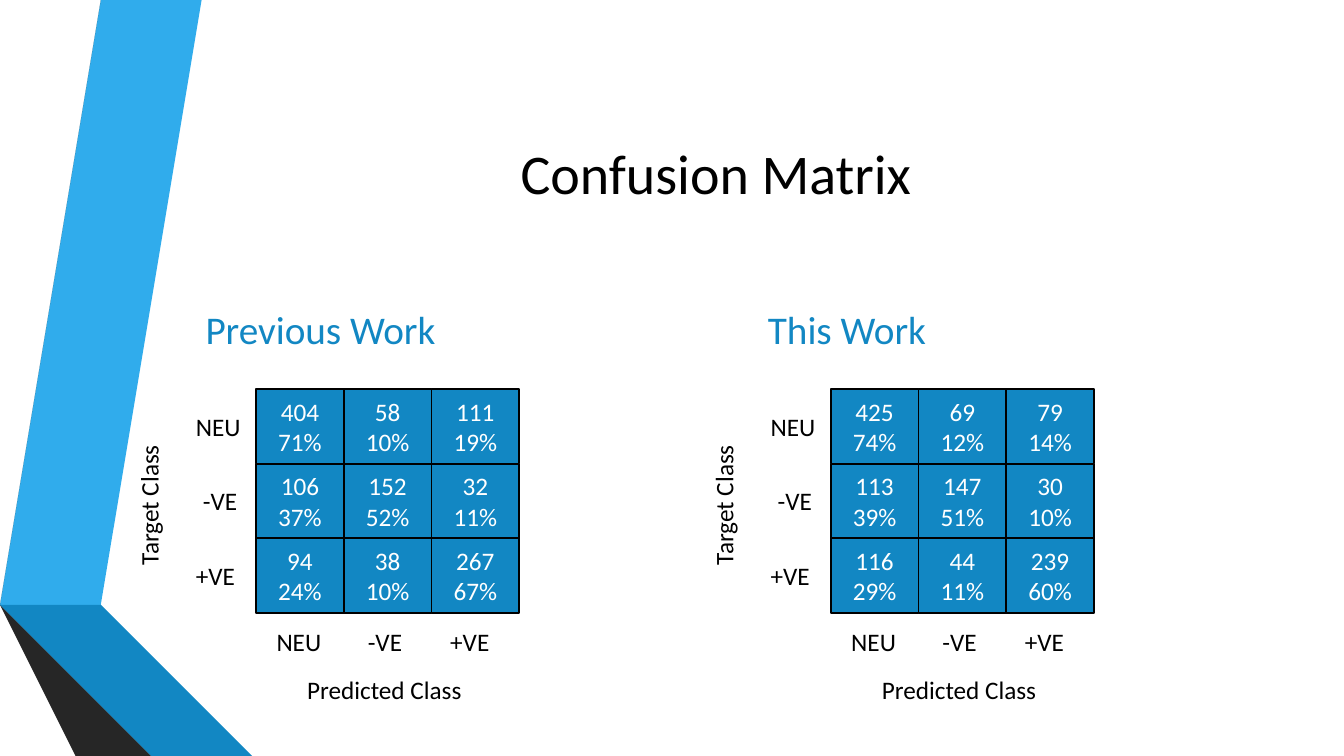
from collections import namedtuple

from pptx import Presentation, util as u
from pptx.dml.color import RGBColor
from pptx.enum import shapes, text

BLUE, BLACK, WHITE = "1287C3", "000000", "FFFFFF"
CLASSES = ("NEU", "-VE", "+VE")
LABEL_WIDTHS = (0.78, 0.7, 0.82)  # in columns
LABEL_HEIGHT = 0.54  # in rows
Box = namedtuple("Box", "left top width height")

# Ribbon outlines in inches on the slide, from back to front
RIBBONS = [
    ("30ACEC", [(0.5, 5.78), (0.77, 5.83), (1.73, 0), (1.45, 0)]),
    ("595959", [(1.39, 0), (1.11, 0), (0.16, 5.73), (0.44, 5.77)]),
    ("262626", [(0.16, 5.73), (1.45, 7.5), (1.51, 7.5)]),
    ("0C5A82", [(0.5, 5.79), (2.08, 7.5), (2.14, 7.5)]),
    (BLUE, [(0.5, 5.79), (2.14, 7.5), (2.83, 7.5), (0.77, 5.83), (0.5, 5.78)]),
    ("404040", [(2.02, 7.5), (0.48, 5.83), (0.43, 5.78), (0.44, 5.77),
                (0.16, 5.73), (1.51, 7.5)]),
]

PREVIOUS = [[("404", "71%"), ("58", "10%"), ("111", "19%")],
            [("106", "37%"), ("152", "52%"), ("32", "11%")],
            [("94", "24%"), ("38", "10%"), ("267", "67%")]]
CURRENT = [[("425", "74%"), ("69", "12%"), ("79", "14%")],
           [("113", "39%"), ("147", "51%"), ("30", "10%")],
           [("116", "29%"), ("44", "11%"), ("239", "60%")]]


def color(value):
    return RGBColor.from_string(value)


def inches(box):
    return [u.Inches(length) for length in box]


def write(shape, *lines, size=18, ink=BLACK, align=text.PP_ALIGN.LEFT,
          anchor=text.MSO_ANCHOR.TOP):
    frame = shape.text_frame
    frame.word_wrap = True
    frame.auto_size = text.MSO_AUTO_SIZE.NONE
    frame.vertical_anchor = anchor
    for index, line in enumerate(lines):
        para = frame.add_paragraph() if index else frame.paragraphs[0]
        para.alignment = align
        span = para.add_run()
        span.text = line
        span.font.name = "Calibri"
        span.font.size = u.Pt(size)
        span.font.color.rgb = color(ink)


def draw_ribbons(page, box):
    for fill, points in RIBBONS:
        outline = [(box.left + x, box.top + y) for x, y in points]
        builder = page.shapes.build_freeform(*outline[0], scale=u.Inches(1))
        builder.add_line_segments(outline[1:], close=True)
        ribbon = builder.convert_to_shape()
        ribbon.shadow.inherit = False
        ribbon.fill.solid()
        ribbon.fill.fore_color.rgb = color(fill)
        ribbon.line.fill.background()


def draw_title(page, box):
    title = page.shapes.title
    title.left, title.top, title.width, title.height = inches(box)
    write(title, "Confusion Matrix", size=40, align=text.PP_ALIGN.CENTER,
          anchor=text.MSO_ANCHOR.MIDDLE)


def draw_matrix(page, box, heading, heading_column, values):
    column, row = box.width / 3, box.height / 3

    def place(x, y, width, height):
        return inches((box.left + x * column, box.top + y * row,
                       width * column, height * row))

    def label(words, x, y, width, height=LABEL_HEIGHT, **style):
        shape = page.shapes.add_textbox(*place(x, y, width, height))
        write(shape, words, **style)
        return shape

    label(heading, heading_column, -1.28, 5.8, 0.85, size=28, ink=BLUE,
          anchor=text.MSO_ANCHOR.BOTTOM)

    # Cells: count above share
    for y, cells in enumerate(values):
        for x, lines in enumerate(cells):
            cell = page.shapes.add_shape(shapes.MSO_SHAPE.RECTANGLE, *place(x, y, 1, 1))
            cell.shadow.inherit = False
            cell.fill.solid()
            cell.fill.fore_color.rgb = color(BLUE)
            cell.line.color.rgb = color(BLACK)
            cell.line.width = u.Pt(1.25)
            write(cell, *lines, ink=WHITE, align=text.PP_ALIGN.CENTER,
                  anchor=text.MSO_ANCHOR.MIDDLE)

    # Class names beside the rows and below the columns
    offsets = zip(CLASSES, LABEL_WIDTHS, (-0.8, -0.72, -0.8), (0.12, 0.16, 0.1))
    for index, (name, width, beside, below) in enumerate(offsets):
        label(name, beside, index + 0.23, width)
        label(name, index + below, 3.11, width)

    # Axis names
    label("Predicted Class", 0.47, 3.76, 2.06)
    label("Target Class", -2.07, 1.23, 1.69).rotation = 270


deck = Presentation()
deck.slide_width, deck.slide_height = u.Inches(13.33), u.Inches(7.5)
page = deck.slides.add_slide(deck.slide_layouts[5])

draw_ribbons(page, Box(0, 0, 13.33, 7.5))
draw_title(page, Box(1.62, 0.75, 10.96, 1.92))
draw_matrix(page, Box(2.54, 3.86, 2.61, 2.22), "Previous Work", -0.69, PREVIOUS)
draw_matrix(page, Box(8.24, 3.86, 2.61, 2.22), "This Work", -0.83, CURRENT)

deck.save("out.pptx")
